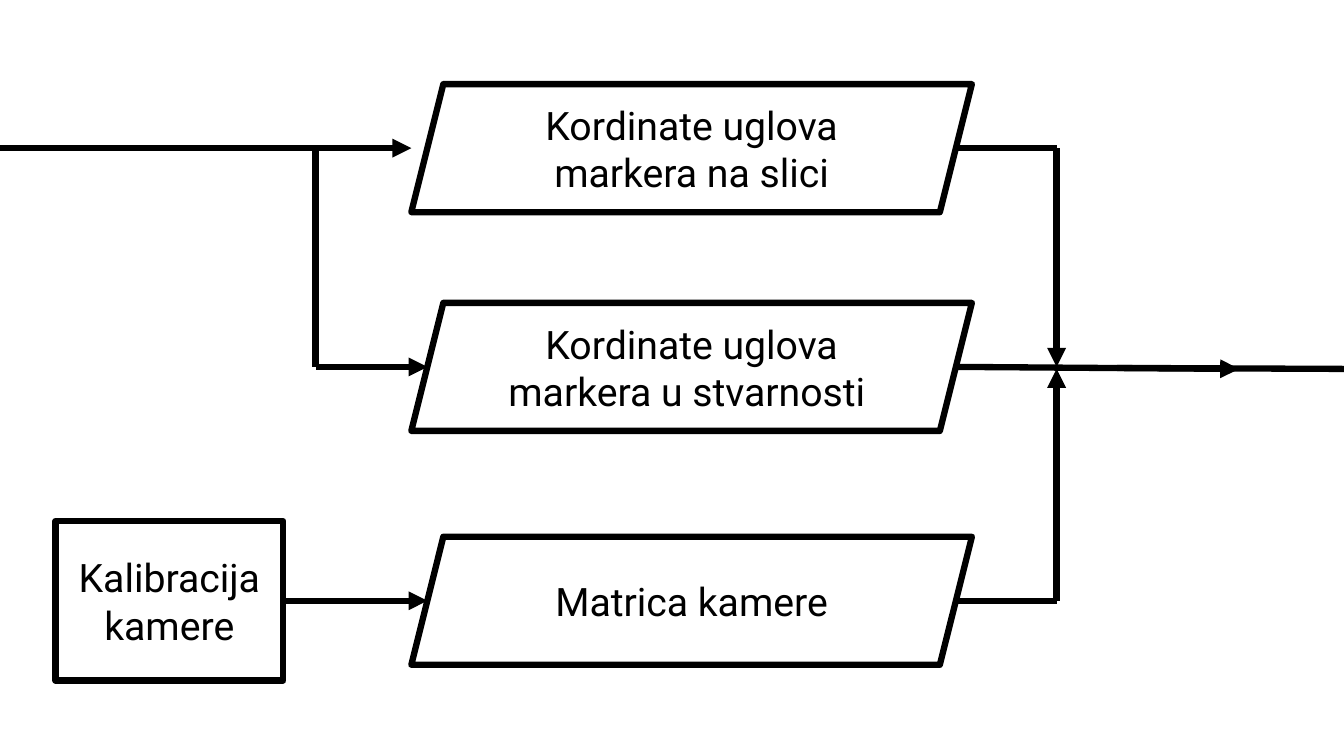
import pptx
import pptx.util
import pptx.dml.color
import pptx.enum.shapes
import pptx.enum.text
import pptx.oxml
import pptx.oxml.ns

Inches = pptx.util.Inches
Pt = pptx.util.Pt
SHAPES = pptx.enum.shapes.MSO_SHAPE
COLORS = {"ink": "000000"}
FONT = "Roboto"
LINE_WIDTH = 4.5

DATA_LEFT, DATA_WIDTH, DATA_HEIGHT = 4.08, 5.56, 1.27
DATA_IN, DATA_OUT = 4.24, 9.48
IMAGE_Y, WORLD_Y, CAMERA_Y = 1.47, 3.64, 5.96
BRANCH_X, MERGE_X, MERGE_Y = 3.13, 10.48, 3.66
SLIDE_WIDTH, SLIDE_HEIGHT = 13.33, 7.5


def color(name):
    return pptx.dml.color.RGBColor.from_string(COLORS[name])


def style_line(line):
    line.color.rgb = color("ink")
    line.width = Pt(LINE_WIDTH)


def add_box(s, kind, text, left, center_y, width, height):
    sp = s.shapes.add_shape(kind, Inches(left), Inches(center_y - height / 2),
                            Inches(width), Inches(height))
    sp.shadow.inherit = False
    sp.fill.background()
    style_line(sp.line)
    tf = sp.text_frame
    tf.word_wrap = True
    tf.vertical_anchor = pptx.enum.text.MSO_ANCHOR.MIDDLE
    p = tf.paragraphs[0]
    p.alignment = pptx.enum.text.PP_ALIGN.CENTER
    r = p.add_run()
    r.text = text
    r.font.name = FONT
    r.font.size = Pt(28)
    r.font.color.rgb = color("ink")


def add_line(s, start, end, arrow=False):
    cx = s.shapes.add_connector(pptx.enum.shapes.MSO_CONNECTOR.STRAIGHT,
                                *map(Inches, start + end))
    style_line(cx.line)
    if arrow:
        ln = cx.line._get_or_add_ln()
        tail = pptx.oxml.parse_xml(
            f'<a:tailEnd {pptx.oxml.ns.nsdecls("a")} type="triangle"/>')
        ln.append(tail)
    effects = pptx.oxml.parse_xml(f'<a:effectLst {pptx.oxml.ns.nsdecls("a")}/>')
    cx._element.spPr.append(effects)


def main():
    prs = pptx.Presentation()
    prs.slide_width = Inches(SLIDE_WIDTH)
    prs.slide_height = Inches(SLIDE_HEIGHT)
    s = prs.slides.add_slide(prs.slide_layouts[6])

    for text, y in (("Kordinate uglova markera na slici", IMAGE_Y),
                    ("Kordinate uglova markera u stvarnosti ", WORLD_Y),
                    ("Matrica kamere", CAMERA_Y)):
        add_box(s, SHAPES.PARALLELOGRAM, text, DATA_LEFT, y, DATA_WIDTH, DATA_HEIGHT)
    add_box(s, SHAPES.RECTANGLE, "Kalibracija kamere", 0.55, CAMERA_Y, 2.26, 1.58)

    add_line(s, (0, IMAGE_Y), (DATA_LEFT, IMAGE_Y), arrow=True)
    add_line(s, (BRANCH_X, WORLD_Y), (BRANCH_X, IMAGE_Y))
    add_line(s, (BRANCH_X, WORLD_Y), (DATA_IN, WORLD_Y), arrow=True)
    add_line(s, (2.8, CAMERA_Y), (DATA_IN, CAMERA_Y), arrow=True)

    for y, merge_y in ((IMAGE_Y, WORLD_Y), (CAMERA_Y, MERGE_Y)):
        add_line(s, (MERGE_X, y), (DATA_OUT, y))
        add_line(s, (MERGE_X, y), (MERGE_X, merge_y), arrow=True)
    add_line(s, (DATA_OUT, WORLD_Y), (12.29, MERGE_Y), arrow=True)
    add_line(s, (SLIDE_WIDTH, MERGE_Y), (11.08, 3.65))

    prs.save("out.pptx")


main()
